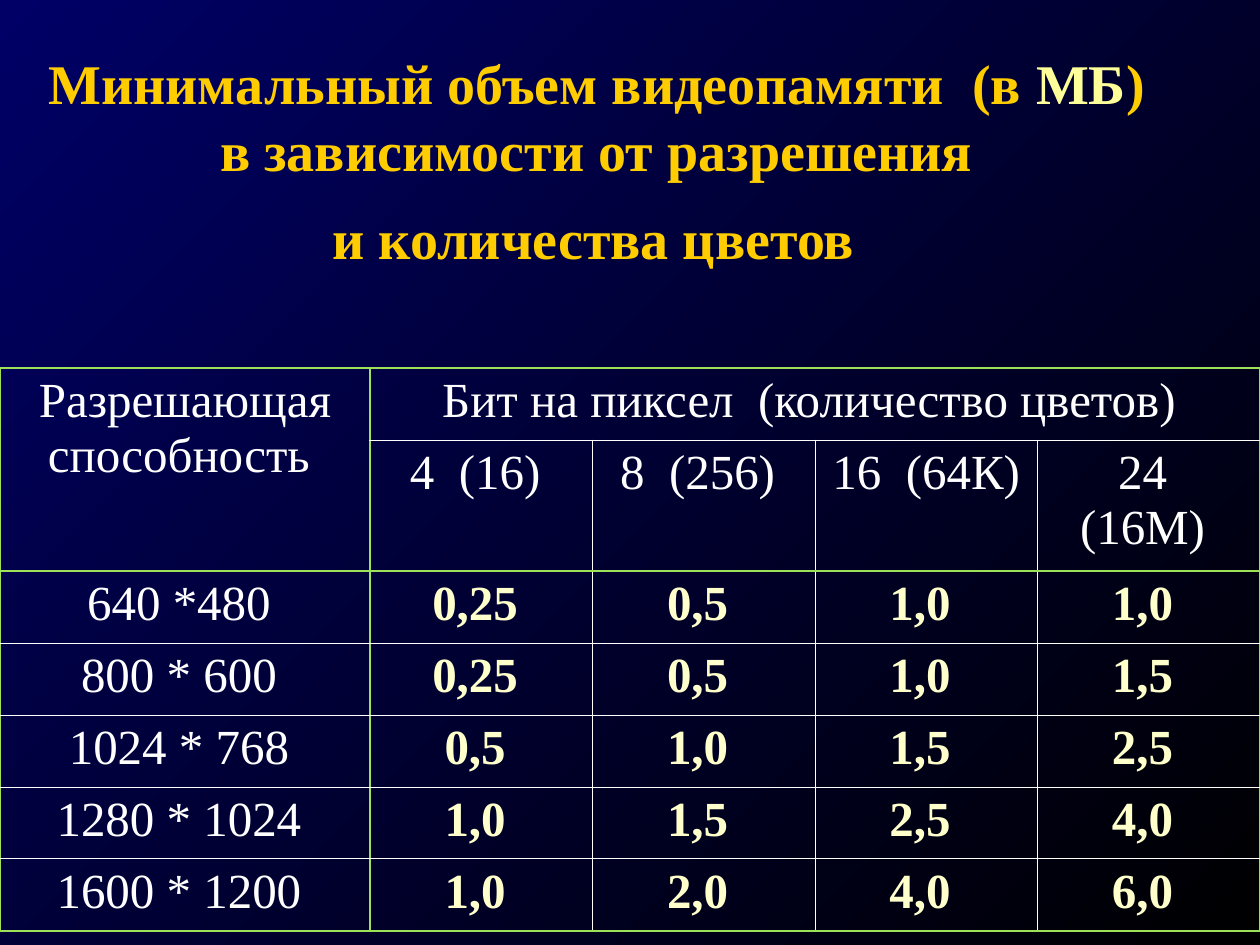
from lxml.etree import SubElement
from pptx import Presentation
from pptx.dml.color import RGBColor
from pptx.enum.text import MSO_ANCHOR, MSO_AUTO_SIZE, PP_ALIGN
from pptx.oxml.ns import qn
from pptx.util import Emu, Pt

NAVY = RGBColor(0x00, 0x00, 0x66)
BLACK = RGBColor(0x00, 0x00, 0x00)
WHITE = RGBColor(0xFF, 0xFF, 0xFF)
GOLD = RGBColor(0xFF, 0xCC, 0x00)
PALE_YELLOW = RGBColor(0xFF, 0xFF, 0x99)
CREAM = RGBColor(0xFF, 0xFF, 0xCC)
GREEN = RGBColor(0x9C, 0xE1, 0x57)

FONT = "Times New Roman"
END_FONT = "Montserrat"

HEADER = ["Разрешающая способность ", "Бит на пиксел  (количество цветов) "]
DEPTHS = ["4  (16) ", "8  (256) ", "16  (64К) ", "24  (16М) "]
MEMORY = [
    ("640 *480 ", "0,25 ", "0,5 ", "1,0 ", "1,0 "),
    ("800 * 600 ", "0,25 ", "0,5 ", "1,0 ", "1,5 "),
    ("1024 * 768 ", "0,5 ", "1,0 ", "1,5 ", "2,5 "),
    ("1280 * 1024 ", "1,0 ", "1,5 ", "2,5 ", "4,0 "),
    ("1600 * 1200 ", "1,0 ", "2,0 ", "4,0 ", "6,0 "),
]
ROW_HEIGHTS = [72, 131] + [72] * len(MEMORY)
FIRST_COL = 370
# Grid lines drawn thick and green: the frame and the header dividers
THICK_COLS, THICK_ROWS = {0, 1, 5}, {0, 2, 7}


def px(n):
    return Emu(round(n * 914400 / 126))


def set_background(slide):
    fill = slide.background.fill
    fill.gradient()
    fill.gradient_angle = 315
    for stop, color in zip(fill.gradient_stops, (NAVY, BLACK)):
        stop.color.rgb = color


def add_title(slide, x, y, w, h):
    title = slide.shapes.title
    title.left, title.top, title.width, title.height = map(px, (x, y, w, h))
    tf = title.text_frame
    tf.word_wrap = True
    tf.auto_size = MSO_AUTO_SIZE.SHAPE_TO_FIT_TEXT
    tf.vertical_anchor = MSO_ANCHOR.MIDDLE
    p = tf.paragraphs[0]
    p.alignment = PP_ALIGN.CENTER

    def add_run(text, color=GOLD, size=32, font=FONT, bold=True):
        r = p.add_run()
        r.text = text
        r.font.name, r.font.size, r.font.bold = font, Pt(size), bold
        r.font.color.rgb = color

    add_run("Минимальный объем видеопамяти  (в ")
    add_run("МБ", PALE_YELLOW)
    add_run(") ")
    for line in ("в зависимости от разрешения ", "и количества цветов"):
        p.add_line_break()
        add_run(line)
    # The larger closing space sets the height of the last line
    add_run(" ", size=44, font=END_FONT, bold=False)


def set_borders(cell, row, col):
    tc_pr = cell._tc.get_or_add_tcPr()
    bottom, right = row + 1, col + 1
    if cell.is_merge_origin:
        bottom, right = row + cell.span_height, col + cell.span_width
    edges = [
        ("a:lnL", col in THICK_COLS),
        ("a:lnR", right in THICK_COLS),
        ("a:lnT", row in THICK_ROWS),
        ("a:lnB", bottom in THICK_ROWS),
    ]
    for tag, thick in edges:
        if cell.is_spanned and not thick:
            continue  # no inner lines in merged cells
        ln = SubElement(tc_pr, qn(tag), w=str(Pt(1.47 if thick else 0.45)))
        fill = SubElement(ln, qn("a:solidFill"))
        SubElement(fill, qn("a:srgbClr"), val=str(GREEN if thick else WHITE))


def fill_cell(cell, text, is_value):
    p = cell.text_frame.paragraphs[0]
    p.text = text
    p.alignment = PP_ALIGN.CENTER
    p.space_before = Pt(7)
    p.font.name, p.font.size, p.font.bold = FONT, Pt(28), is_value
    p.font.color.rgb = CREAM if is_value else WHITE


def add_memory_table(slide, x, y, w):
    texts = [HEADER + [""] * 3, [""] + DEPTHS, *MEMORY]
    n_cols = len(texts[0])
    frame = slide.shapes.add_table(
        len(texts), n_cols, px(x), px(y), px(w), px(sum(ROW_HEIGHTS)))
    table = frame.table
    table.first_row = table.horz_banding = False
    for i, column in enumerate(table.columns):
        column.width = px((w - FIRST_COL) / (n_cols - 1) if i else FIRST_COL)
    for row, height in zip(table.rows, ROW_HEIGHTS):
        row.height = px(height)

    # Header cells that span rows or columns
    table.cell(0, 0).merge(table.cell(1, 0))
    table.cell(0, 1).merge(table.cell(0, n_cols - 1))

    for i, row in enumerate(texts):
        for j, text in enumerate(row):
            cell = table.cell(i, j)
            set_borders(cell, i, j)
            cell.fill.background()
            if text:
                fill_cell(cell, text, is_value=i > 1 and j > 0)


def main():
    prs = Presentation()
    prs.slide_width, prs.slide_height = px(1260), px(945)
    slide = prs.slides.add_slide(prs.slide_layouts[5])
    set_background(slide)
    add_title(slide, 0, 42, 1207, 239)
    add_memory_table(slide, 0, 368, 1260)
    prs.save("out.pptx")


if __name__ == "__main__":
    main()
